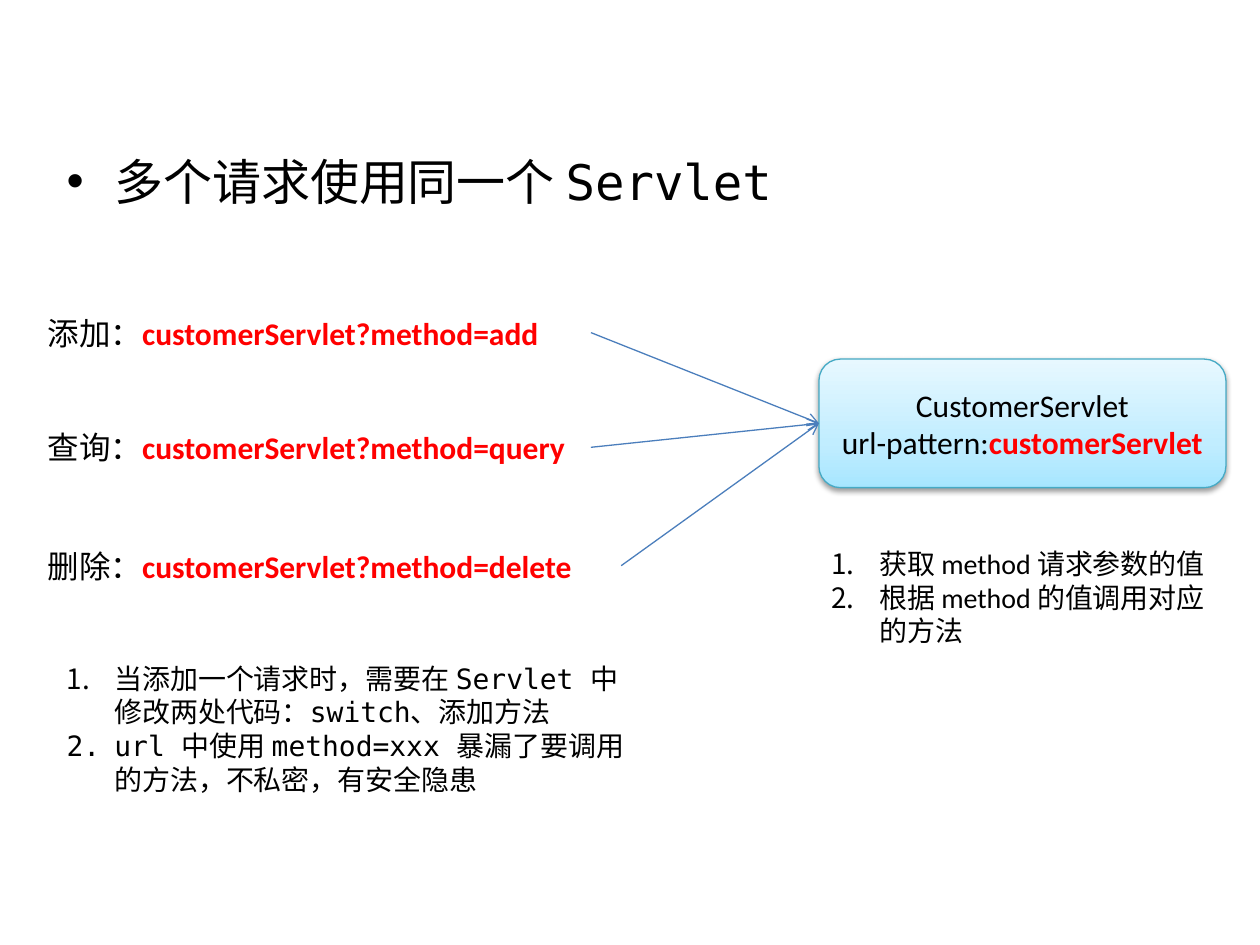
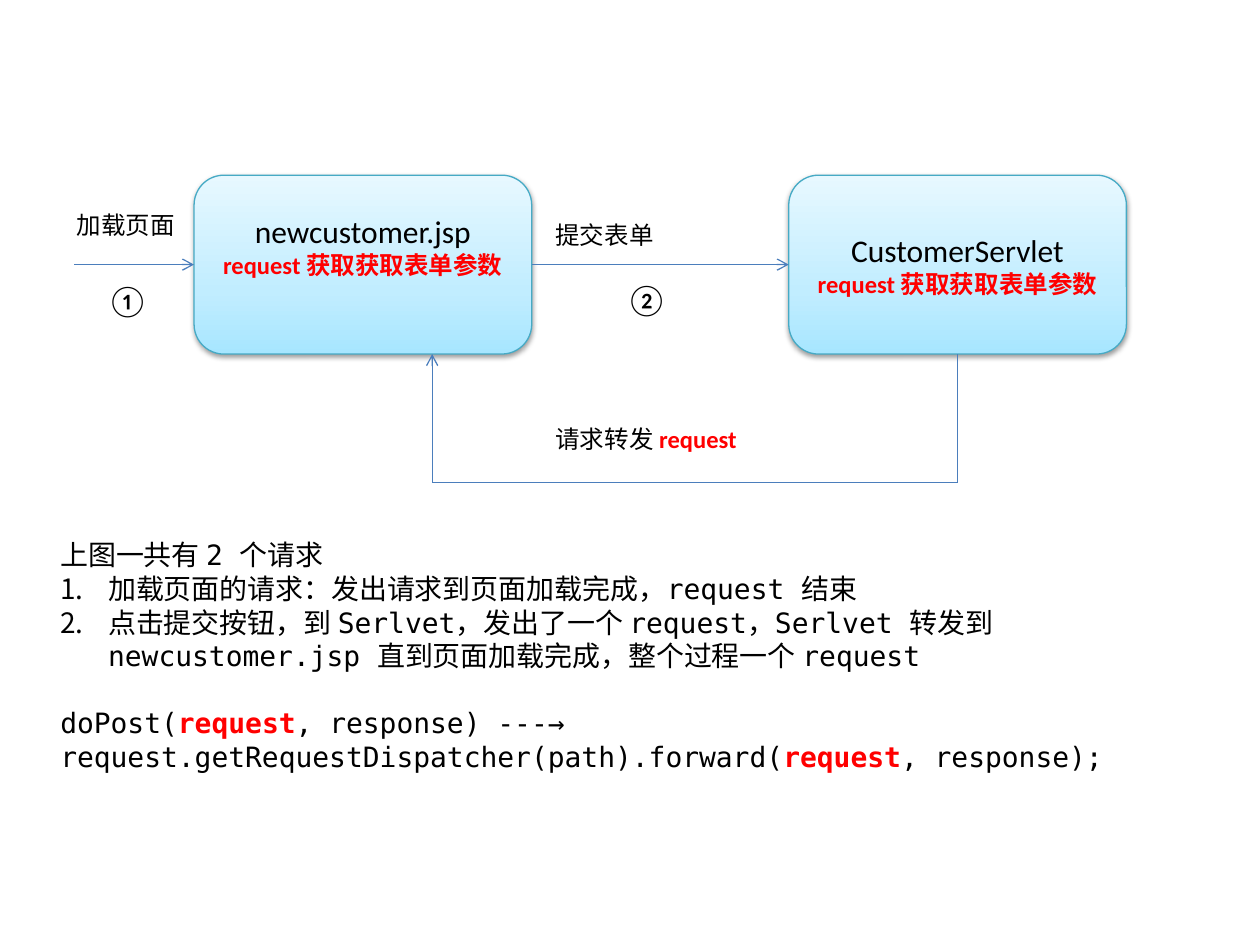
from lxml import etree
from pptx import Presentation
from pptx.dml.color import RGBColor
from pptx.enum.shapes import MSO_CONNECTOR as Connector, MSO_SHAPE as Shape
from pptx.enum.text import MSO_ANCHOR as Anchor, MSO_AUTO_SIZE as AutoSize, PP_ALIGN as Align
from pptx.oxml import parse_xml
from pptx.oxml.ns import nsdecls, qn
from pptx.util import Inches, Pt

SANS, MONO = "Calibri", "DejaVu Sans Mono"
BLACK, RED, LINE, EDGE = "000000", "FF0000", "4B7EBC", "46AAC5"
GRADIENT = [(0, "A7E6FF"), (35, "C1EDFF"), (100, "E7F8FF")]
NUMBER = ("buAutoNum", {"type": "arabicPeriod"})
BULLET = ("buChar", {"char": "•"})
INDENT = 0.38


def color(value):
    """Turn a hex string into a colour."""
    return RGBColor.from_string(value)


class Diagram:
    """Hold the deck's style and draw on the current slide."""

    def __init__(self):
        """Start an empty 10 by 7.5 inch deck."""
        self.deck = Presentation()
        self.deck.slide_width, self.deck.slide_height = Inches(10), Inches(7.5)
        self.page = None

    def new_page(self):
        """Add a blank slide and make it current."""
        self.page = self.deck.slides.add_slide(self.deck.slide_layouts[6])

    def paragraph(self, para, text, size, font=SANS, marker=None, before=0):
        """Fill a paragraph; every second part between bars is red and bold."""
        if marker:
            tag, attributes = marker
            properties = para._p.get_or_add_pPr()
            properties.set("marL", str(Inches(INDENT)))
            properties.set("indent", str(-Inches(INDENT)))
            if marker == BULLET:
                etree.SubElement(properties, qn("a:buFont"), typeface="Arial")
            etree.SubElement(properties, qn(f"a:{tag}"), **attributes)
        if before:
            para.space_before = Pt(before)
        for index, part in enumerate(text.split("|")):
            if not part:
                continue
            span = para.add_run()
            span.text = part
            span.font.name, span.font.size = font, Pt(size)
            span.font.bold = index % 2 == 1
            span.font.color.rgb = color(RED if span.font.bold else BLACK)

    def text(self, left, top, width, height, paras, size, font=SANS):
        """Add a text box; each paragraph is (text, marker, space before)."""
        box = self.page.shapes.add_textbox(*map(Inches, (left, top, width, height)))
        frame = box.text_frame
        frame.word_wrap = True
        frame.auto_size = AutoSize.SHAPE_TO_FIT_TEXT
        for index, (text, marker, before) in enumerate(paras):
            para = frame.add_paragraph() if index else frame.paragraphs[0]
            self.paragraph(para, text, size, font, marker, before)
        return box

    def label(self, left, top, width, height, text, size):
        """Add a one-line text box."""
        return self.text(left, top, width, height, [(text, None, 0)], size)

    def node(self, left, top, width, height, title, detail, detail_size, bottom=0.05):
        """Add a rounded gradient box with a title and a detail line."""
        box = self.page.shapes.add_shape(
            Shape.ROUNDED_RECTANGLE, *map(Inches, (left, top, width, height)))
        box.fill.gradient()
        box.fill.gradient_angle = 90
        stops = box._element.spPr.find(qn("a:gradFill")).find(qn("a:gsLst"))
        for stop in list(stops):
            stops.remove(stop)
        for position, shade in GRADIENT:
            stop = etree.SubElement(stops, qn("a:gs"), pos=str(position * 1000))
            etree.SubElement(stop, qn("a:srgbClr"), val=shade)
        box.line.color.rgb, box.line.width = color(EDGE), Pt(0.75)
        box._element.spPr.append(parse_xml(
            f'<a:effectLst {nsdecls("a")}><a:outerShdw blurRad="{Pt(3.1)}" dist="{Pt(1.6)}" '
            f'dir="5400000" rotWithShape="0"><a:srgbClr val="{BLACK}"><a:alpha val="38000"/>'
            '</a:srgbClr></a:outerShdw></a:effectLst>'))
        frame = box.text_frame
        frame.word_wrap = True
        frame.vertical_anchor = Anchor.MIDDLE
        frame.margin_bottom = Inches(bottom)
        self.paragraph(frame.paragraphs[0], title, 18)
        self.paragraph(frame.add_paragraph(), detail, detail_size)
        for para in frame.paragraphs:
            para.alignment = Align.CENTER
        return box

    def line(self, start, end, source=None, target=None, arrow=True):
        """Draw a line, joined to (shape, side) pairs where given."""
        link = self.page.shapes.add_connector(
            Connector.STRAIGHT, *map(Inches, (*start, *end)))
        if source:
            link.begin_connect(*source)
        if target:
            link.end_connect(*target)
        link.line.color.rgb, link.line.width = color(LINE), Pt(0.75)
        properties = link._element.spPr
        if arrow:
            etree.SubElement(properties.find(qn("a:ln")), qn("a:tailEnd"), type="arrow")
        etree.SubElement(properties, qn("a:effectLst"))


def draw_shared_servlet(diagram):
    """Show several requests handled by one servlet."""
    diagram.new_page()
    diagram.text(0.43, 1.15, 9, 0.79, [("多个请求使用同一个 Servlet", BULLET, 0)], 28, MONO)
    servlet = diagram.node(6.5, 2.85, 3.23, 1.02, "CustomerServlet",
                           "url-pattern:|customerServlet", 18)
    requests = [("添加", "add", 2.44, 4.41), ("查询", "query", 3.35, 4.41),
                ("删除", "delete", 4.29, 4.65)]
    for action, method, top, width in requests:
        request = diagram.label(0.28, top, width, 0.4,
                                f"{action}：|customerServlet?method={method}", 18)
        diagram.line((0.28 + width, top + 0.2), (6.5, 3.36), (request, 3), (servlet, 1))
    diagram.text(6.5, 4.29, 3.23, 0.91, [
        ("获取 method 请求参数的值", NUMBER, 0),
        ("根据 method 的值调用对应的方法", NUMBER, 0)], 16)
    diagram.text(0.43, 5.2, 4.65, 1.18, [
        ("当添加一个请求时，需要在 Servlet 中修改两处代码：switch、添加方法", NUMBER, 0),
        ("url 中使用 method=xxx 暴漏了要调用的方法，不私密，有安全隐患", NUMBER, 0)], 16, MONO)


def draw_request_forwarding(diagram):
    """Show a form submission that is forwarded back to its page."""
    diagram.new_page()
    detail = "|request 获取获取表单参数"
    form = diagram.node(1.54, 1.39, 2.68, 1.42, "newcustomer.jsp", detail, 14, bottom=0.35)
    servlet = diagram.node(6.26, 1.39, 2.68, 1.42, "CustomerServlet", detail, 14)
    diagram.line((0.59, 2.1), (1.54, 2.1), target=(form, 1))
    diagram.line((4.22, 2.1), (6.26, 2.1), (form, 3), (servlet, 1))
    diagram.line((7.6, 2.81), (7.6, 3.83), (servlet, 2), arrow=False)
    diagram.line((7.6, 3.83), (3.43, 3.83), arrow=False)
    diagram.line((3.43, 3.83), (3.43, 2.81))
    diagram.label(0.51, 1.62, 1.02, 0.34, "加载页面", 14)
    diagram.label(4.31, 1.7, 1.02, 0.34, "提交表单", 14)
    diagram.label(4.31, 3.32, 1.95, 0.34, "请求转发 |request", 14)
    diagram.text(0.38, 4.22, 9.45, 1.99, [
        ("上图一共有 2 个请求", None, 0),
        ("加载页面的请求：发出请求到页面加载完成，request 结束", NUMBER, 0),
        ("点击提交按钮，到 Serlvet，发出了一个 request，Serlvet 转发到 newcustomer.jsp "
         "直到页面加载完成，整个过程一个 request", NUMBER, 0),
        ("doPost(|request|, response) ---→ "
         "request.getRequestDispatcher(path).forward(|request|, response);", None, 19)], 16, MONO)
    diagram.label(0.75, 2.18, 0.47, 0.4, "①", 18)
    diagram.label(4.87, 2.17, 0.47, 0.4, "②", 18)


def main():
    """Build and save the deck."""
    diagram = Diagram()
    draw_shared_servlet(diagram)
    draw_request_forwarding(diagram)
    diagram.deck.save("out.pptx")


if __name__ == "__main__":
    main()
